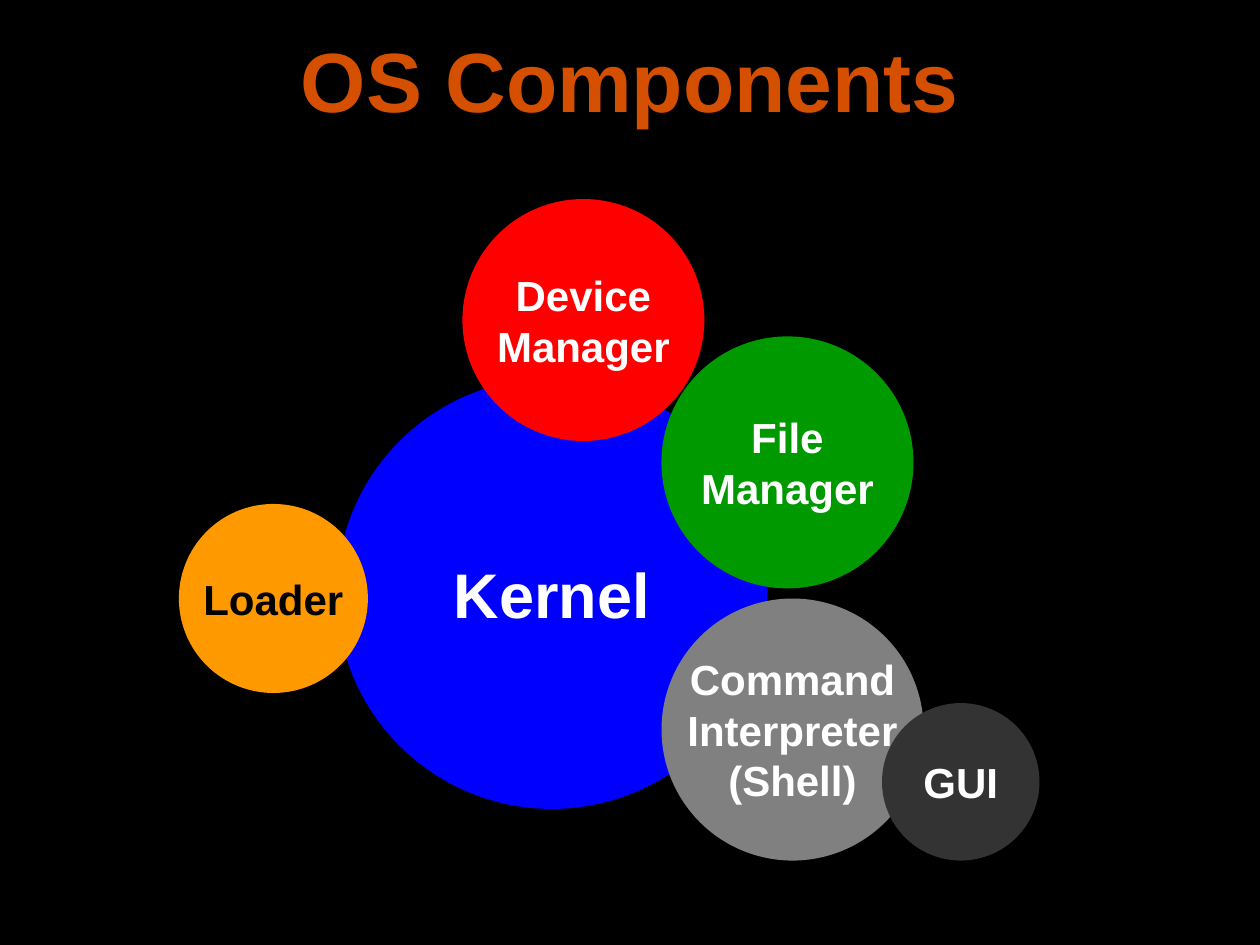
from pptx import Presentation
from pptx.dml.color import RGBColor
from pptx.enum import shapes, text
from pptx.util import Inches, Pt

# Label, left and top within the diagram, diameter, fill, text colour, text size
PARTS = [
    ("Kernel", 1.25, 1.42, 3.42, "0000FF", "FFFFFF", 36),
    ("Command\nInterpreter\n(Shell)", 3.83, 3.17, 2.08, "808080", "FFFFFF", 24),
    ("File\nManager", 3.83, 1.09, 2, "009900", "FFFFFF", 24),
    ("Device\nManager", 2.25, 0, 1.92, "FF0000", "FFFFFF", 24),
    ("GUI", 5.58, 4, 1.25, "333333", "FFFFFF", 24),
    ("Loader", 0, 2.42, 1.5, "FF9900", "000000", 24),
]


def paint(fill, color):
    fill.solid()
    fill.fore_color.rgb = RGBColor.from_string(color)


def write(shape, words, size, color, wrap):
    frame = shape.text_frame
    frame.text = words
    frame.word_wrap = wrap
    frame.vertical_anchor = text.MSO_ANCHOR.MIDDLE
    for para in frame.paragraphs:
        para.alignment = text.PP_ALIGN.CENTER
        for run in para.runs:
            run.font.name = "Arial"
            run.font.size = Pt(size)
            run.font.bold = True
            paint(run.font.fill, color)


def add_title(slide, left, top, width, height):
    box = slide.shapes.add_textbox(left, top, width, height)
    write(box, "OS Components", 48, "D45000", True)


def add_diagram(slide, left, top):
    """Group the overlapping circles, back to front, from the given corner."""
    group = slide.shapes.add_group_shape()
    for label, x, y, size, fill, color, points in PARTS:
        circle = group.shapes.add_shape(
            shapes.MSO_SHAPE.OVAL, left + Inches(x), top + Inches(y),
            Inches(size), Inches(size))
        circle.shadow.inherit = False
        paint(circle.fill, fill)
        circle.line.fill.background()
        write(circle, label, points, color, False)


def main():
    deck = Presentation()
    deck.slide_width, deck.slide_height = Inches(10), Inches(7.5)
    slide = deck.slides.add_slide(deck.slide_layouts[6])
    paint(slide.background.fill, "000000")
    add_diagram(slide, Inches(1.42), Inches(1.58))
    add_title(slide, Inches(0.75), Inches(0), Inches(8.5), Inches(1.25))
    deck.save("out.pptx")


if __name__ == "__main__":
    main()
